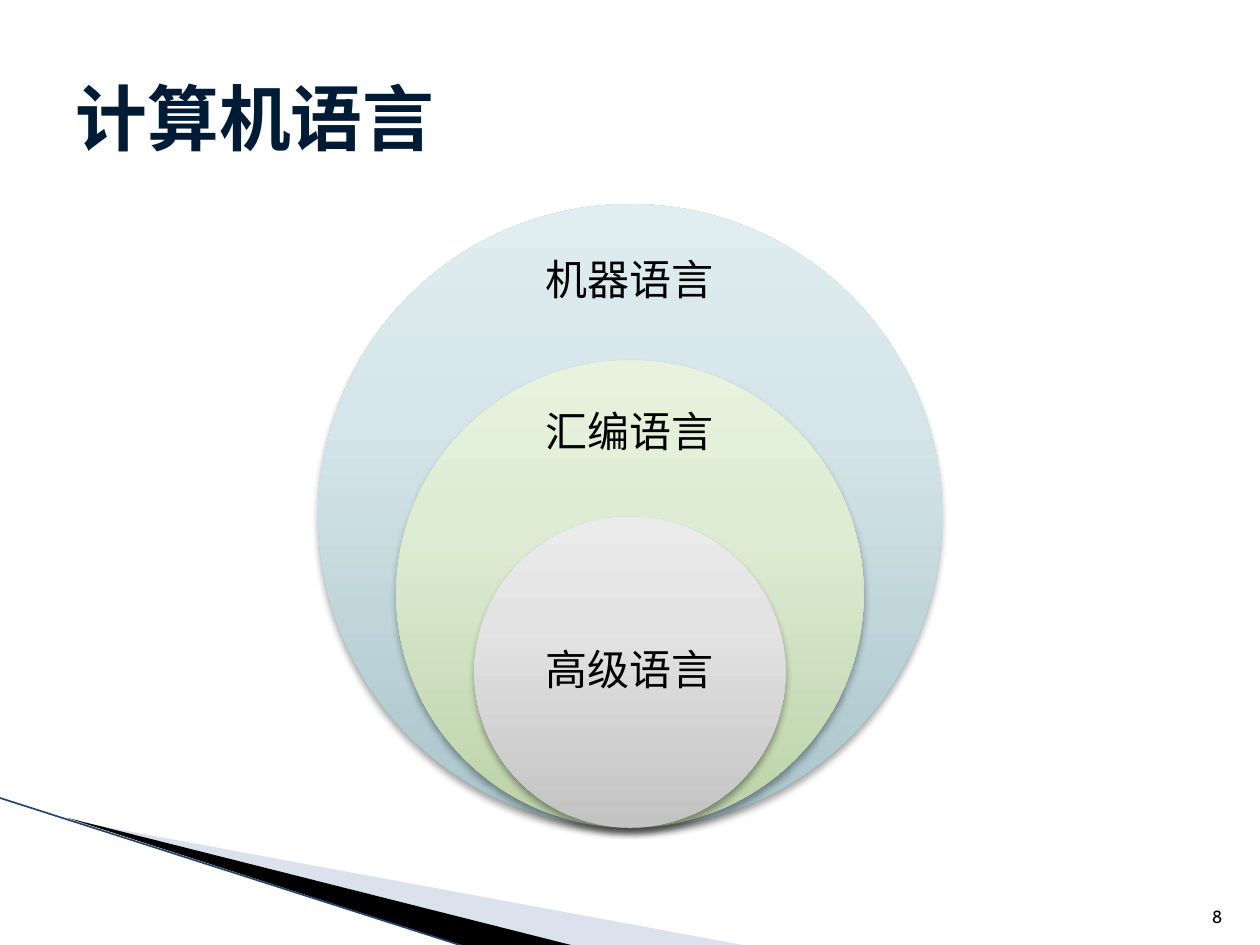
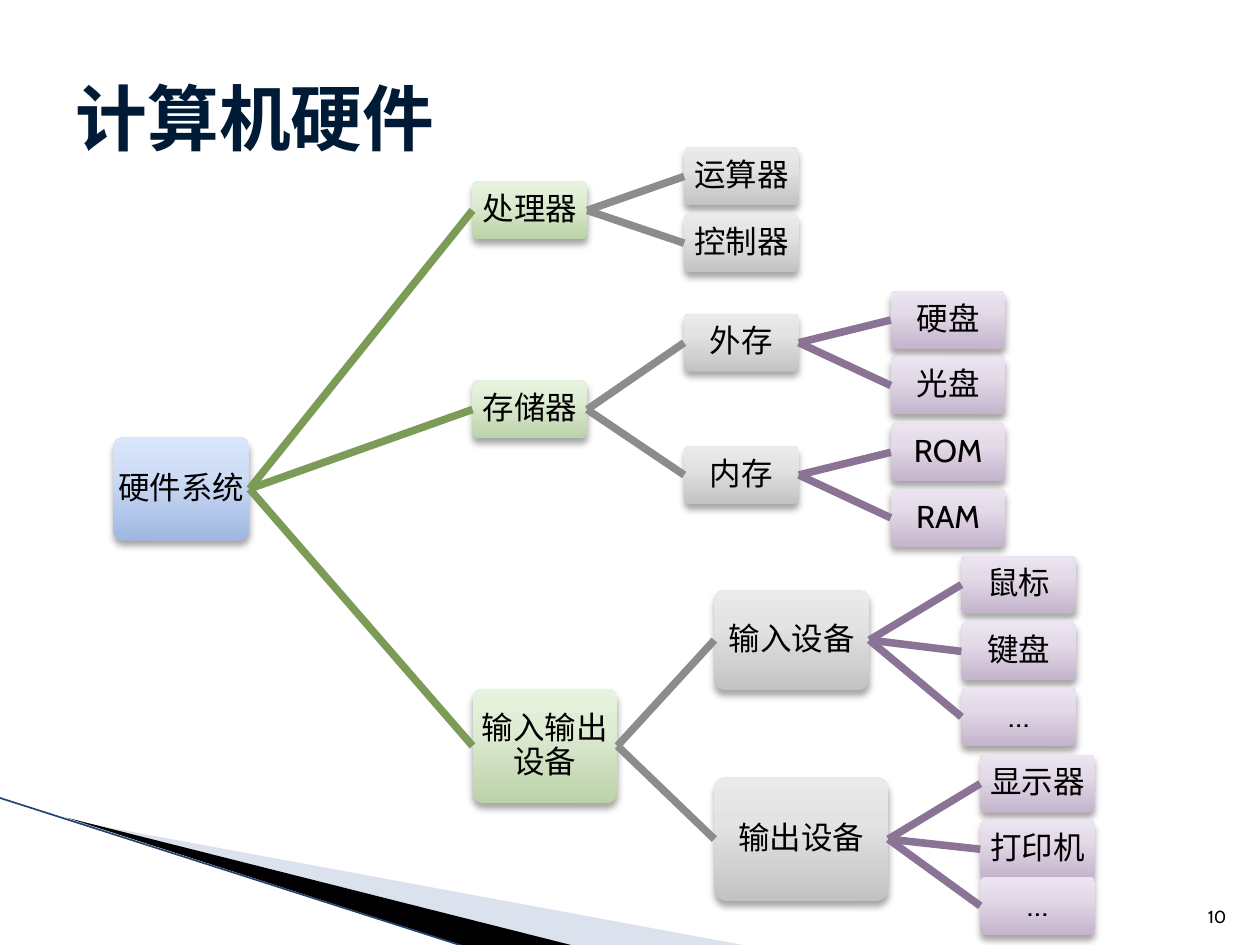
import dataclasses

import lxml.etree
import pptx
import pptx.dml.color
import pptx.enum.shapes
import pptx.enum.text
import pptx.oxml.ns
import pptx.util

Inches = pptx.util.Inches
Pt = pptx.util.Pt
RGBColor = pptx.dml.color.RGBColor
qualified = pptx.oxml.ns.qn
ShapeKind = pptx.enum.shapes.MSO_SHAPE
Align = pptx.enum.text.PP_ALIGN
Anchor = pptx.enum.text.MSO_ANCHOR

FONT = "Cabin"
BLACK = RGBColor(0x00, 0x00, 0x00)
NAVY = RGBColor(0x00, 0x1B, 0x36)
BAND_BLUE = RGBColor(0xA5, 0xB7, 0xD4)
EDGE_BLUE = RGBColor(0x24, 0x46, 0x6E)
GREEN_LINE = RGBColor(0x7B, 0x9B, 0x57)
GRAY_LINE = RGBColor(0x8B, 0x8D, 0x8C)
PURPLE_LINE = RGBColor(0x8B, 0x73, 0x96)

TEAL = [RGBColor(0xA8, 0xC4, 0xCB), RGBColor(0xD5, 0xE5, 0xE9), RGBColor(0xE0, 0xED, 0xF1)]
BLUE = [RGBColor(0x9F, 0xB8, 0xE2), RGBColor(0xCE, 0xDC, 0xF6), RGBColor(0xDA, 0xE6, 0xFB)]
GREEN = [RGBColor(0xBB, 0xD2, 0xA8), RGBColor(0xDF, 0xEC, 0xD4), RGBColor(0xE8, 0xF3, 0xDF)]
GRAY = [RGBColor(0xC2, 0xC3, 0xC2), RGBColor(0xE2, 0xE3, 0xE2), RGBColor(0xEB, 0xEB, 0xEB)]
PURPLE = [RGBColor(0xC4, 0xB4, 0xCC), RGBColor(0xE4, 0xDA, 0xE8), RGBColor(0xEC, 0xE4, 0xF0)]

GRADIENT_POSITIONS = [0, 65, 100]
LEVEL_GRADIENTS = [BLUE, GREEN, GRAY, PURPLE]
LEVEL_LINES = [None, GREEN_LINE, GRAY_LINE, PURPLE_LINE]
LEVEL_GAPS = [0, 1.77, 0.77, 0.73]
TREE_LEFT = 0.9

CIRCLE_CENTER = 5
CIRCLE_BOTTOM = 6.57
LANGUAGES = [
    ("机器语言", 4.95, 2.24, TEAL),
    ("汇编语言", 3.71, 3.44, GREEN),
    ("高级语言", 2.47, 5.33, GRAY),
]


@dataclasses.dataclass
class Node:
    label: str
    middle: float
    children: list = dataclasses.field(default_factory=list)
    width: float = 0.91
    height: float = 0.46


HARDWARE = Node("硬件系统", 3.88, [
    Node("处理器", 1.67, [Node("运算器", 1.4), Node("控制器", 1.93)]),
    Node("存储器", 3.25, [
        Node("外存", 2.72, [Node("硬盘", 2.54), Node("光盘", 3.06)]),
        Node("内存", 3.77, [Node("ROM", 3.59), Node("RAM", 4.11)]),
    ]),
    Node("输入输出设备", 5.92, [
        Node("输入设备", 5.08, [
            Node("鼠标", 4.64), Node("键盘", 5.17), Node("…", 5.69),
        ], 1.23, 0.79),
        Node("输出设备", 6.66, [
            Node("显示器", 6.22), Node("打印机", 6.74), Node("…", 7.19),
        ], 1.38, 0.98),
    ], 1.15, 0.91),
], 1.08, 0.82)


def apply_format(target, values):
    for name, value in values.items():
        setattr(target, name, value)


def add_child(parent, tag, **attributes):
    values = {name: str(value) for name, value in attributes.items()}
    return lxml.etree.SubElement(parent, qualified(tag), values)


def write_text(shape, text, size, anchor=Anchor.MIDDLE, align=Align.CENTER,
               color=BLACK, bold=False, inset=0, spacing=0.9):
    frame = shape.text_frame
    margins = ["margin_left", "margin_top", "margin_right", "margin_bottom"]
    apply_format(frame, dict.fromkeys(margins, Inches(inset)))
    apply_format(frame, {"word_wrap": True, "vertical_anchor": anchor})
    paragraph = frame.paragraphs[0]
    apply_format(paragraph, {"alignment": align, "line_spacing": spacing})
    run = paragraph.add_run()
    run.text = text
    apply_format(run.font, {"name": FONT, "size": Pt(size), "bold": bold})
    run.font.color.rgb = color


def add_text(slide, text, left, top, width, height, size, **options):
    box = slide.shapes.add_textbox(Inches(left), Inches(top), Inches(width), Inches(height))
    write_text(box, text, size, **options)


def add_shaded_shape(slide, kind, left, top, width, height, colors):
    shape = slide.shapes.add_shape(
        kind, Inches(left), Inches(top), Inches(width), Inches(height))
    shape.line.fill.background()
    shape.fill.gradient()
    shape.fill.gradient_angle = 90
    properties = shape._element.spPr
    stops = properties.find(qualified("a:gradFill")).find(qualified("a:gsLst"))
    stops.clear()
    for position, color in zip(GRADIENT_POSITIONS, colors):
        stop = add_child(stops, "a:gs", pos=position * 1000)
        add_child(stop, "a:srgbClr", val=color)
    effects = add_child(properties, "a:effectLst")
    shadow = add_child(effects, "a:outerShdw", blurRad=Pt(4), dist=Pt(3),
                       dir=5400000, rotWithShape=0)
    shadow_color = add_child(shadow, "a:srgbClr", val=BLACK)
    add_child(shadow_color, "a:alpha", val=35000)
    return shape


def add_line(slide, start, end, color, width):
    points = [Inches(value) for value in (*start, *end)]
    line = slide.shapes.add_connector(pptx.enum.shapes.MSO_CONNECTOR.STRAIGHT, *points)
    line.line.color.rgb = color
    line.line.width = Pt(width)
    add_child(line._element.spPr, "a:effectLst")
    return line


def add_wedge(slide, points, color, opacity=100):
    first, *rest = [(Inches(x), Inches(y)) for x, y in points]
    builder = slide.shapes.build_freeform(*first)
    builder.add_line_segments(rest)
    wedge = builder.convert_to_shape()
    wedge.shadow.inherit = False
    wedge.line.fill.background()
    wedge.fill.solid()
    wedge.fill.fore_color.rgb = color
    if opacity < 100:
        fill = wedge._element.spPr.find(qualified("a:solidFill"))
        add_child(fill[0], "a:alpha", val=opacity * 1000)


def add_base_slide(presentation, title, number):
    slide = presentation.slides.add_slide(presentation.slide_layouts[5])
    add_wedge(slide, [(0.55, 6.51), (5.95, 7.51), (4.56, 7.51)], BAND_BLUE, 40)
    add_wedge(slide, [(0.53, 6.49), (4.57, 7.51), (3.72, 7.52)], BLACK)
    add_line(slide, (-0.01, 6.33), (3.71, 7.52), EDGE_BLUE, 0.95)
    heading = slide.shapes.title
    apply_format(heading, {"left": Inches(0.5), "top": Inches(0.3),
                           "width": Inches(9), "height": Inches(1.25)})
    write_text(heading, title, 41, align=Align.LEFT, color=NAVY, bold=True,
               inset=0.1, spacing=1.0)
    add_text(slide, str(number), 9.46, 7.01, 0.4, 0.4, 10,
             anchor=Anchor.BOTTOM, inset=0.05, spacing=1.0)
    return slide


def add_nested_circles(slide):
    for label, diameter, label_middle, colors in LANGUAGES:
        add_shaded_shape(slide, ShapeKind.OVAL, CIRCLE_CENTER - diameter / 2,
                         CIRCLE_BOTTOM - diameter, diameter, diameter, colors)
        add_text(slide, label, CIRCLE_CENTER - 0.87, label_middle - 0.37, 1.74, 0.74, 24)


def add_tree(slide, node, left=TREE_LEFT, level=0):
    box = add_shaded_shape(slide, ShapeKind.ROUNDED_RECTANGLE, left,
                           node.middle - node.height / 2, node.width, node.height,
                           LEVEL_GRADIENTS[level])
    box.adjustments[0] = 0.1
    write_text(box, node.label, 18)
    right = left + node.width
    for child in node.children:
        child_left = right + LEVEL_GAPS[level + 1]
        child_box = add_tree(slide, child, child_left, level + 1)
        branch = add_line(slide, (right, node.middle), (child_left, child.middle),
                          LEVEL_LINES[level + 1], 4.33)
        branch.begin_connect(box, 3)
        branch.end_connect(child_box, 1)
    return box


def main():
    presentation = pptx.Presentation()
    apply_format(presentation, {"slide_width": Inches(10), "slide_height": Inches(7.5)})
    add_nested_circles(add_base_slide(presentation, "计算机语言", 8))
    add_tree(add_base_slide(presentation, "计算机硬件", 10), HARDWARE)
    presentation.save("out.pptx")


if __name__ == "__main__":
    main()
